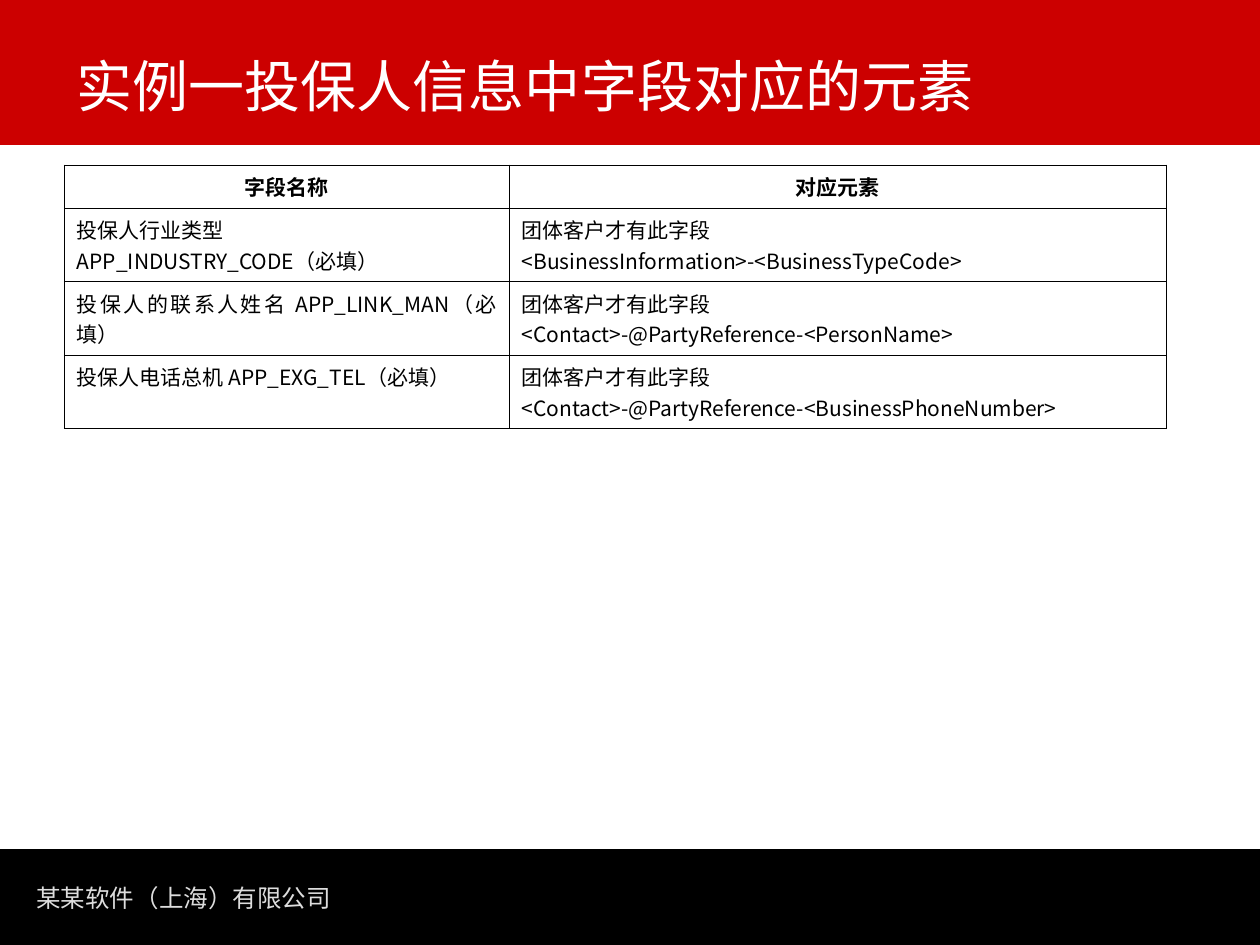
from lxml import etree
from pptx import Presentation
from pptx.dml.color import RGBColor
from pptx.enum.shapes import MSO_SHAPE
from pptx.enum.text import MSO_ANCHOR, MSO_AUTO_SIZE, PP_ALIGN
from pptx.oxml.ns import qn
from pptx.util import Pt

RECTANGLE = MSO_SHAPE.RECTANGLE
BOTTOM = MSO_ANCHOR.BOTTOM
NO_AUTOFIT = MSO_AUTO_SIZE.NONE
LEFT, CENTER, JUSTIFY = PP_ALIGN.LEFT, PP_ALIGN.CENTER, PP_ALIGN.JUSTIFY

COLORS = {"red": "CC0000", "black": "000000", "white": "FFFFFF", "gray": "DDDDDD"}
LATIN_FONT, CHINESE_FONT = "DejaVu Sans", "Noto Sans CJK SC"
TITLE_ONLY = 5

COLUMN_WIDTHS = [254.16, 375.84]
ROW_HEIGHTS = [21.6, 39.6, 36, 36]
GROUP_ONLY = "团体客户才有此字段"
FIELD_ROWS = [
    ("字段名称", "对应元素"),
    ("投保人行业类型\nAPP_INDUSTRY_CODE（必填）",
     GROUP_ONLY + "\n<BusinessInformation>-<BusinessTypeCode>"),
    ("投保人的联系人姓名 APP_LINK_MAN（必填）",
     GROUP_ONLY + "\n<Contact>-@PartyReference-<PersonName>"),
    ("投保人电话总机 APP_EXG_TEL（必填）",
     GROUP_ONLY + "\n<Contact>-@PartyReference-<BusinessPhoneNumber>"),
]


class SlideBuilder:
    def __init__(self, deck):
        self.slide = deck.slides.add_slide(deck.slide_layouts[TITLE_ONLY])

    def set_text(self, frame, text, size, color, font, align=LEFT, bold=False):
        frame.text = text
        for para in frame.paragraphs:
            para.alignment = align
            para.font.name = font
            para.font.size = Pt(size)
            para.font.bold = bold
            para.font.color.rgb = RGBColor.from_string(COLORS[color])
            # Chinese characters take the East Asian typeface
            defaults = para._p.pPr.find(qn("a:defRPr"))
            etree.SubElement(defaults, qn("a:ea"), typeface=CHINESE_FONT)

    def band(self, top, height, color):
        band = self.slide.shapes.add_shape(RECTANGLE, 0, Pt(top), Pt(720), Pt(height))
        band.shadow.inherit = False
        band.fill.solid()
        band.fill.fore_color.rgb = RGBColor.from_string(COLORS[color])
        band.line.fill.background()

    def title(self, text, left, top, width, height):
        title = self.slide.shapes.title
        title.left, title.top = Pt(left), Pt(top)
        title.width, title.height = Pt(width), Pt(height)
        title.text_frame.vertical_anchor = BOTTOM
        title.text_frame.auto_size = NO_AUTOFIT
        self.set_text(title.text_frame, text, 32, "white", LATIN_FONT)
        # Bring the title in front of the red band
        title.element.getparent().append(title.element)

    def label(self, text, left, top, width, height):
        box = self.slide.shapes.add_textbox(Pt(left), Pt(top), Pt(width), Pt(height))
        box.text_frame.word_wrap = False
        self.set_text(box.text_frame, text, 14, "gray", LATIN_FONT)

    def border(self, cell):
        properties = cell._tc.get_or_add_tcPr()
        for side in ("lnL", "lnR", "lnT", "lnB"):
            line = etree.SubElement(properties, qn("a:" + side), w=str(Pt(0.45)))
            fill = etree.SubElement(line, qn("a:solidFill"))
            etree.SubElement(fill, qn("a:srgbClr"), val=COLORS["black"])

    def table(self, rows, left, top):
        table = self.slide.shapes.add_table(
            len(rows), len(COLUMN_WIDTHS), Pt(left), Pt(top),
            Pt(sum(COLUMN_WIDTHS)), Pt(sum(ROW_HEIGHTS))).table
        table.first_row = table.horz_banding = False
        for column, width in zip(table.columns, COLUMN_WIDTHS):
            column.width = Pt(width)
        for row, height, texts in zip(table.rows, ROW_HEIGHTS, rows):
            row.height = Pt(height)
            header = texts == rows[0]
            for cell, text in zip(row.cells, texts):
                self.border(cell)
                cell.fill.background()
                self.set_text(cell.text_frame, text, 12, "black", CHINESE_FONT,
                              CENTER if header else JUSTIFY, header)


def main():
    deck = Presentation()
    deck.slide_width, deck.slide_height = Pt(720), Pt(540)
    builder = SlideBuilder(deck)

    # Footer and title bands
    builder.band(485.28, 54.72, "black")
    builder.band(0, 82.8, "red")
    builder.label("某某软件（上海）有限公司", 13.68, 501.12, 182.88, 24.48)
    builder.title("实例一投保人信息中字段对应的元素", 36.72, 3.6, 663.12, 67.68)

    # Field mapping
    builder.table(FIELD_ROWS, 36.72, 94.32)

    deck.save("out.pptx")


if __name__ == "__main__":
    main()
